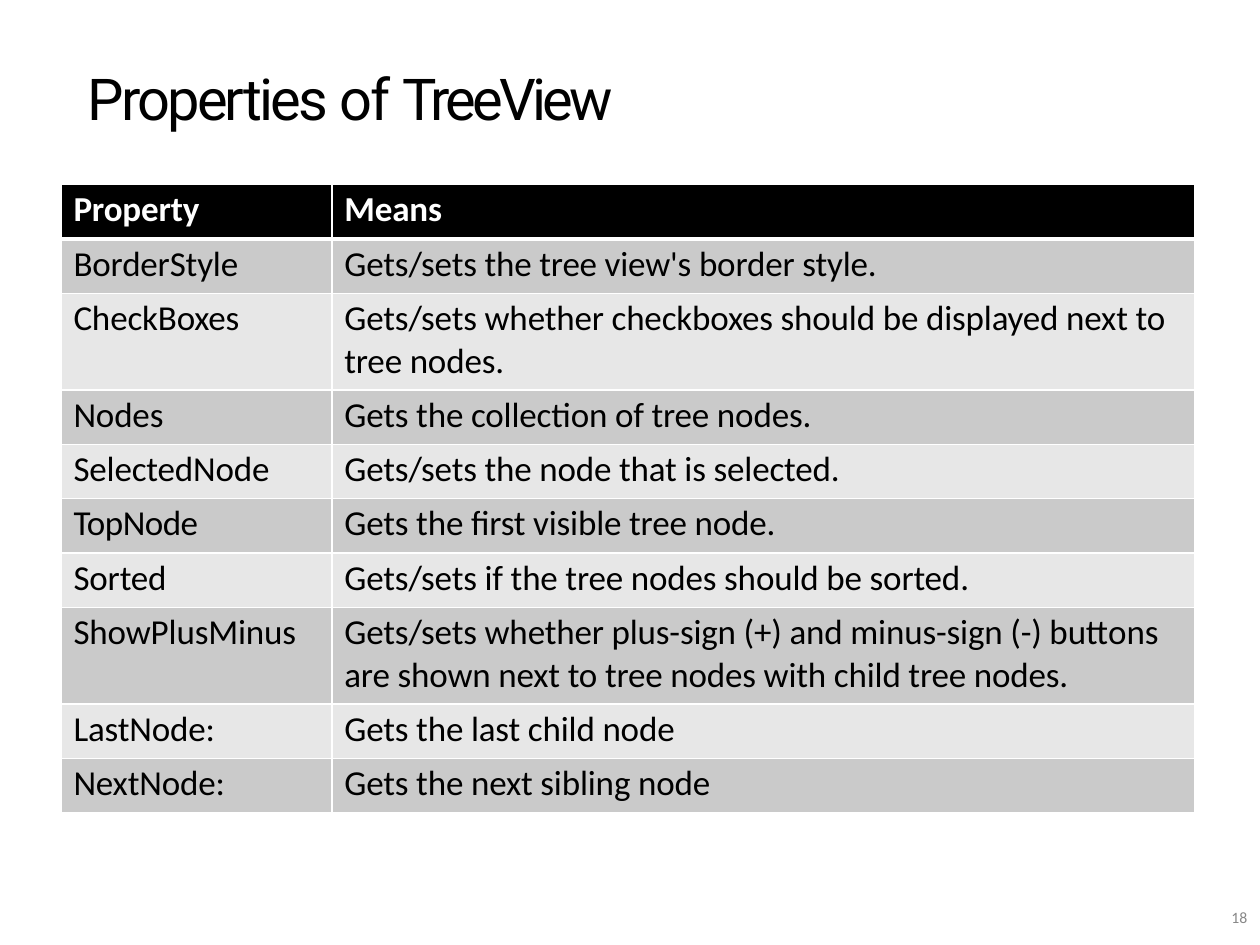
from lxml.etree import SubElement
from pptx import Presentation
from pptx.dml.color import RGBColor as RGB
from pptx.enum.text import MSO_ANCHOR
from pptx.oxml import parse_xml
from pptx.oxml.ns import nsdecls, qn
from pptx.util import Pt

THEME = dict(
    title_font="Roboto", body_font="Calibri",
    title_size=33, body_size=20, number_size=9,
    ink="000000", paper="FFFFFF", number="888888",
    bands=("CACACA", "E7E7E7"),
)
TITLE = [("Properties ", -1.6), ("of ", -1.4), ("TreeView", -2.2)]
PAGE = "18"
ROWS = [
    ("Property", "Means"),
    ("BorderStyle", "Gets/sets the tree view's border style."),
    ("CheckBoxes", "Gets/sets whether checkboxes should be displayed next to\ntree nodes."),
    ("Nodes", "Gets the collection of tree nodes."),
    ("SelectedNode", "Gets/sets the node that is selected."),
    ("TopNode", "Gets the first visible tree node."),
    ("Sorted", "Gets/sets if the tree nodes should be sorted."),
    ("ShowPlusMinus", "Gets/sets whether plus-sign (+) and minus-sign (-) buttons "
                      "are shown next to tree nodes with child tree nodes."),
    ("LastNode:", "Gets the last child node"),
    ("NextNode:", "Gets the next sibling node"),
]
COLUMNS = (154.8, 493.2)
ROW_HEIGHT, TALL_HEIGHT = 31.1, 55.1
TALL_ROWS = (2, 7)
TABLE_LEFT, TABLE_TOP = 34.8, 105.5
THIN, THICK = 1, 3


def add_text(p, text, *, font, size, color, bold=False, spacing=0, indent=0):
    """Add one formatted run to a paragraph."""
    p._p.get_or_add_pPr().set("marL", str(Pt(indent)))
    r = p.add_run()
    r.text = text
    r.font.name, r.font.size, r.font.bold = font, Pt(size), bold
    r.font.color.rgb = RGB.from_string(color)
    r._r.get_or_add_rPr().set("spc", str(round(spacing * 100)))


def add_box(s, left, top, width, height, inset=0):
    """Add an unpadded text box and return its first paragraph."""
    tf = s.shapes.add_textbox(Pt(left), Pt(top), Pt(width), Pt(height)).text_frame
    tf.word_wrap = True
    tf.margin_left = tf.margin_right = tf.margin_bottom = 0
    tf.margin_top = Pt(inset)
    return tf.paragraphs[0]


def set_borders(cell, **widths):
    """Draw solid borders around a cell, keyed by side."""
    tc_pr = cell._tc.get_or_add_tcPr()
    for i, (side, width) in enumerate(widths.items()):
        ln = parse_xml(f'<a:ln{side} {nsdecls("a")} w="{Pt(width)}"/>')
        fill = SubElement(ln, qn("a:solidFill"))
        SubElement(fill, qn("a:srgbClr"), val=THEME["paper"])
        tc_pr.insert(i, ln)


def fill_cell(cell, text, row):
    """Format one table cell and write its text."""
    header = row == 0
    cell.fill.solid()
    cell.fill.fore_color.rgb = RGB.from_string(
        THEME["ink"] if header else THEME["bands"][(row - 1) % 2])
    set_borders(cell, L=THIN, R=THIN, T=THICK if row == 1 else THIN,
                B=THICK if header else THIN)
    cell.margin_left = cell.margin_right = cell.margin_bottom = 0
    cell.margin_top = Pt(2.2)
    cell.vertical_anchor = MSO_ANCHOR.TOP
    tf = cell.text_frame
    for i, line in enumerate(text.split("\n")):
        p = tf.add_paragraph() if i else tf.paragraphs[0]
        add_text(p, line, font=THEME["body_font"], size=THEME["body_size"],
                 color=THEME["paper" if header else "ink"], bold=header,
                 spacing=-0.3 if text == "TopNode" else -0.1, indent=7.2)


def add_properties(s):
    """Add the property table."""
    heights = [TALL_HEIGHT if i in TALL_ROWS else ROW_HEIGHT for i in range(len(ROWS))]
    table = s.shapes.add_table(len(ROWS), len(COLUMNS), Pt(TABLE_LEFT), Pt(TABLE_TOP),
                               Pt(sum(COLUMNS)), Pt(sum(heights))).table
    for column, width in zip(table.columns, COLUMNS):
        column.width = Pt(width)
    for i, (texts, height) in enumerate(zip(ROWS, heights)):
        table.rows[i].height = Pt(height)
        for j, text in enumerate(texts):
            fill_cell(table.cell(i, j), text, i)


def main():
    """Build and save the slide."""
    prs = Presentation()
    prs.slide_width, prs.slide_height = Pt(720), Pt(540)
    s = prs.slides.add_slide(prs.slide_layouts[6])
    p = add_box(s, 700.6, 519.8, 15.1, 10.8)
    p.line_spacing = Pt(9.6)
    add_text(p, PAGE, font=THEME["body_font"], size=THEME["number_size"],
             color=THEME["number"], indent=3)
    p = add_box(s, 49, 34.6, 302.4, 41.8, inset=1)
    for text, spacing in TITLE:
        add_text(p, text, font=THEME["title_font"], size=THEME["title_size"],
                 color=THEME["ink"], spacing=spacing, indent=1)
    add_properties(s)
    prs.save("out.pptx")


if __name__ == "__main__":
    main()
